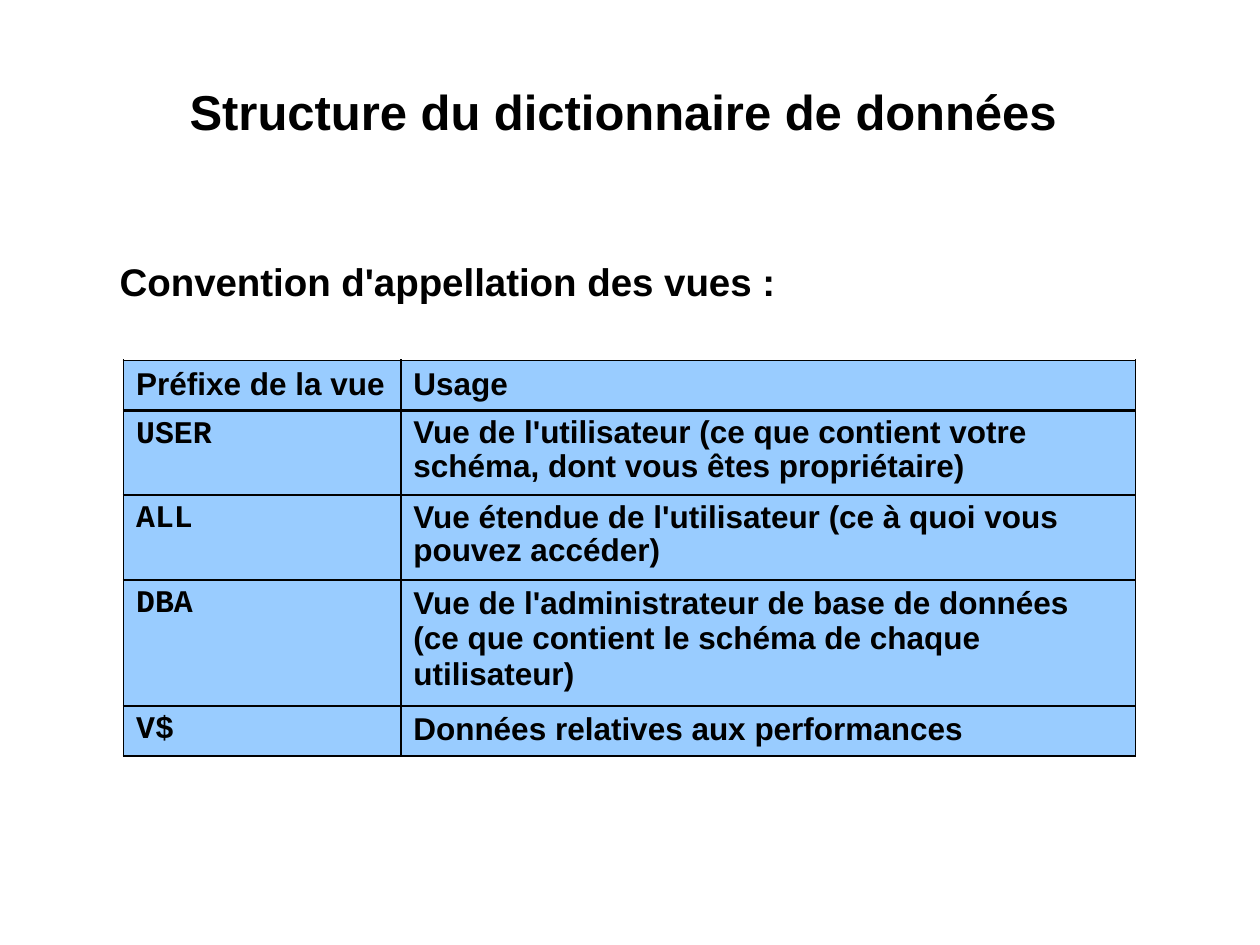
from dataclasses import dataclass

import pptx
import pptx.dml.color
import pptx.enum.text
import pptx.oxml.ns
import pptx.util
from lxml import etree

Pt = pptx.util.Pt
COLORS = {"text": "000000", "border": "000000", "cell": "99CCFF"}
THIN, THICK = 1.08, 2.21
BOX_INSET = 0.72
COLUMN_WIDTHS = (158.4, 419.8)


@dataclass(frozen=True)
class ViewRow:
    prefix: str
    usage: str
    height: float
    prefix_font: str = "Courier New"
    prefix_spacing: float = 0.95
    usage_spacing: float = 1.0


ROWS = (
    ViewRow("Préfixe de la vue", "Usage", 28.8, prefix_font="Arial", prefix_spacing=1.0),
    ViewRow("USER", "Vue de l'utilisateur (ce que contient votre schéma, dont vous êtes propriétaire)",
            48.3, usage_spacing=0.95),
    ViewRow("ALL", "Vue étendue de l'utilisateur (ce à quoi vous pouvez accéder)",
            48.3, usage_spacing=0.95),
    ViewRow("DBA", "Vue de l'administrateur de base de données (ce que contient le schéma de chaque utilisateur)",
            72),
    ViewRow("V$", "Données relatives aux performances", 28.8),
)


def rgb(name: str) -> pptx.dml.color.RGBColor:
    return pptx.dml.color.RGBColor.from_string(COLORS[name])


def write_text(frame, text: str, *, size: float, font: str = "Arial",
               line_spacing: float = 1.0, centered: bool = False) -> None:
    frame.word_wrap = True
    para = frame.paragraphs[0]
    align = pptx.enum.text.PP_ALIGN
    para.alignment = align.CENTER if centered else align.LEFT
    para.line_spacing = line_spacing
    span = para.add_run()
    span.text = text
    span.font.name = font
    span.font.size = Pt(size)
    span.font.bold = True
    span.font.color.rgb = rgb("text")


def add_heading(page, text: str, left: float, top: float, width: float, height: float,
                *, top_inset: float, size: float, centered: bool = False) -> None:
    box = page.shapes.add_textbox(Pt(left), Pt(top), Pt(width), Pt(height))
    frame = box.text_frame
    frame.margin_left = frame.margin_right = frame.margin_bottom = Pt(BOX_INSET)
    frame.margin_top = Pt(top_inset)
    write_text(frame, text, size=size, centered=centered)


def set_borders(cell, widths: dict[str, float]) -> None:
    """Put solid lines, given by side in points, ahead of the cell fill."""
    properties = cell._tc.get_or_add_tcPr()
    qn = pptx.oxml.ns.qn
    for index, (side, width) in enumerate(widths.items()):
        line = etree.Element(qn(f"a:ln{side}"), w=str(int(Pt(width))))
        fill = etree.SubElement(line, qn("a:solidFill"))
        etree.SubElement(fill, qn("a:srgbClr"), val=COLORS["border"])
        properties.insert(index, line)


def add_views_table(page, left: float, top: float) -> None:
    table = page.shapes.add_table(
        len(ROWS), len(COLUMN_WIDTHS), Pt(left), Pt(top),
        Pt(sum(COLUMN_WIDTHS)), Pt(sum(row.height for row in ROWS))).table
    table.horz_banding = False
    for column, width in zip(table.columns, COLUMN_WIDTHS):
        column.width = Pt(width)
    for index, row in enumerate(ROWS):
        table.rows[index].height = Pt(row.height)
        borders = {"L": THIN, "R": THIN,
                   "T": THICK if index == 1 else THIN,
                   "B": THICK if index == 0 else THIN}
        contents = ((row.prefix, row.prefix_font, row.prefix_spacing),
                    (row.usage, "Arial", row.usage_spacing))
        for column_index, (text, font, spacing) in enumerate(contents):
            cell = table.cell(index, column_index)
            cell.margin_left = cell.margin_right = Pt(7.2)
            cell.margin_top = cell.margin_bottom = Pt(3.6)
            cell.fill.solid()
            cell.fill.fore_color.rgb = rgb("cell")
            set_borders(cell, borders)
            write_text(cell.text_frame, text, size=18, font=font, line_spacing=spacing)


def main() -> None:
    deck = pptx.Presentation()
    deck.slide_width, deck.slide_height = Pt(720), Pt(540)
    page = deck.slides.add_slide(deck.slide_layouts[6])
    add_heading(page, "Structure du dictionnaire de données ", 72, 41.8, 576, 69.1,
                top_inset=4.5, size=28, centered=True)
    add_heading(page, "Convention d'appellation des vues :", 67.7, 144, 580.3, 28.1,
                top_inset=3.5, size=22)
    add_views_table(page, 70.6, 205.9)
    deck.save("out.pptx")


if __name__ == "__main__":
    main()
